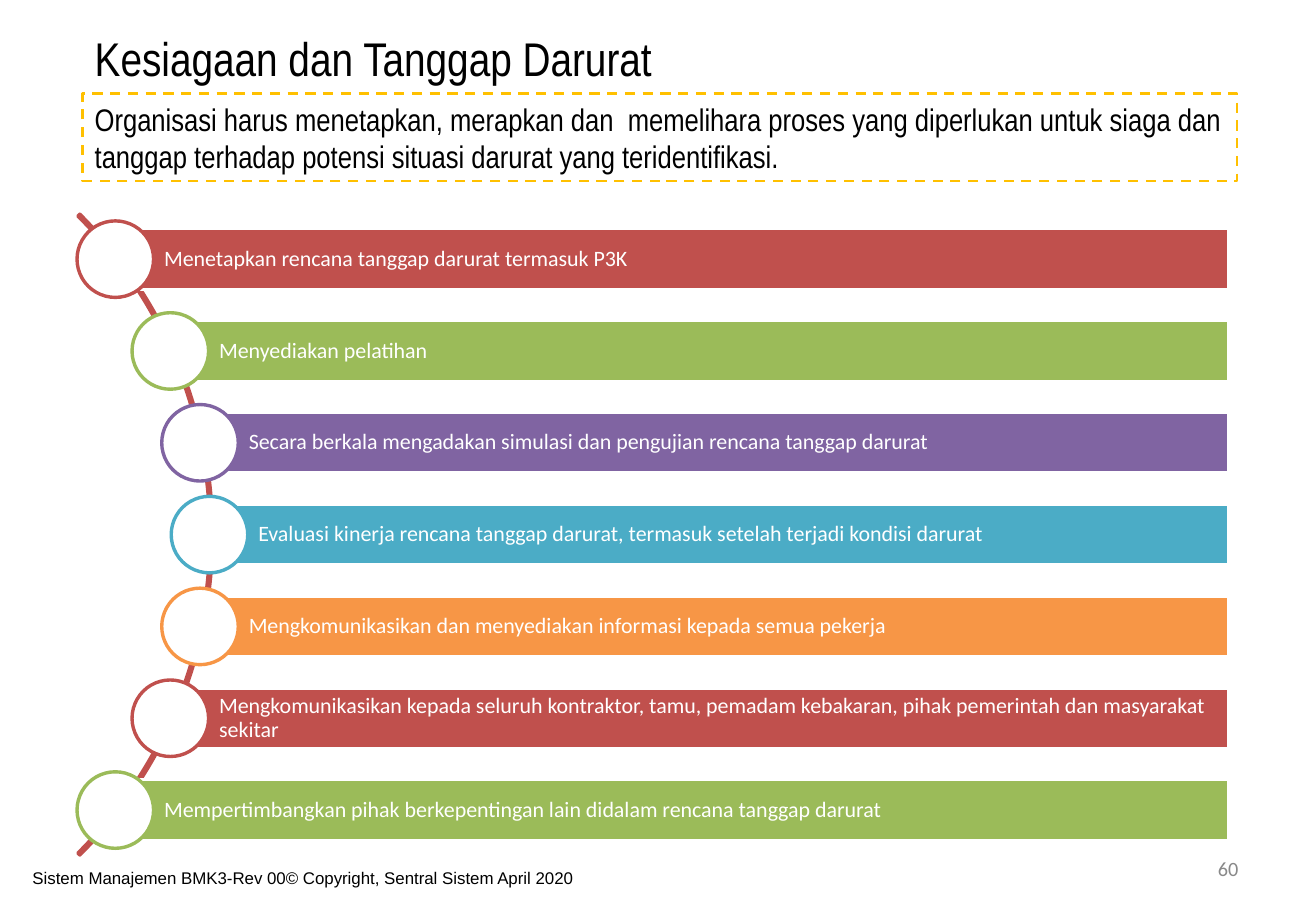
from dataclasses import dataclass
from math import sqrt

from pptx import Presentation
from pptx.dml.color import RGBColor
from pptx.enum.dml import MSO_LINE
from pptx.enum.shapes import MSO_SHAPE
from pptx.enum.text import MSO_ANCHOR, MSO_AUTO_SIZE, PP_ALIGN
from pptx.util import Cm, Pt


@dataclass(frozen=True)
class Theme:
    black: str = "000000"
    white: str = "FFFFFF"
    grey: str = "898989"
    gold: str = "FFC000"
    red: str = "C0504D"
    green: str = "9BBB59"
    purple: str = "8064A2"
    teal: str = "4BACC6"
    orange: str = "F79646"
    head: str = "Arial Narrow"
    body: str = "Calibri"
    foot: str = "Arial"
    title_size: float = 28
    lead_size: float = 18.5
    step_size: float = 13
    page_size: float = 12
    foot_size: float = 10


@dataclass(frozen=True)
class Box:
    left: float
    top: float
    width: float
    height: float

    def cm(self) -> tuple:
        return Cm(self.left), Cm(self.top), Cm(self.width), Cm(self.height)


@dataclass(frozen=True)
class Step:
    text: str
    color: str


THEME = Theme()
STEPS = [
    Step("Menetapkan rencana tanggap darurat termasuk P3K", THEME.red),
    Step("Menyediakan pelatihan", THEME.green),
    Step("Secara berkala mengadakan simulasi dan pengujian rencana tanggap darurat", THEME.purple),
    Step("Evaluasi kinerja rencana tanggap darurat, termasuk setelah terjadi kondisi darurat", THEME.teal),
    Step("Mengkomunikasikan dan menyediakan informasi kepada semua pekerja", THEME.orange),
    Step("Mengkomunikasikan kepada seluruh kontraktor, tamu, pemadam kebakaran, "
         "pihak pemerintah dan masyarakat sekitar", THEME.red),
    Step("Mempertimbangkan pihak berkepentingan lain didalam rencana tanggap darurat", THEME.green),
]

# Circle geometry in cm: the dots sit on a ring centred left of the slide
MID_X, MID_Y = -5.03, 11.18
ARC, RING = 18.95, 9.41
PITCH, BAR, DOT, EDGE = 1.92, 1.27, 1.6, 25.68


def write(shape, text: str, *, font: str, size: float, color: str,
          align=PP_ALIGN.LEFT, anchor=MSO_ANCHOR.TOP,
          inset=(0.25, 0.13, 0.25, 0.13), spacing: float = 1.0) -> None:
    frame = shape.text_frame
    frame.word_wrap = True
    frame.auto_size = MSO_AUTO_SIZE.NONE
    frame.vertical_anchor = anchor
    (frame.margin_left, frame.margin_top,
     frame.margin_right, frame.margin_bottom) = map(Cm, inset)
    frame.text = text
    para = frame.paragraphs[0]
    para.alignment = align
    para.line_spacing = spacing
    face = para.runs[0].font
    face.name, face.size = font, Pt(size)
    face.color.rgb = RGBColor.from_string(color)


def draw(slide, kind, box: Box, line: str, fill: str = "", width: float = 2):
    shape = slide.shapes.add_shape(kind, *box.cm())
    shape.shadow.inherit = False
    if fill:
        shape.fill.solid()
        shape.fill.fore_color.rgb = RGBColor.from_string(fill)
    else:
        shape.fill.background()
    shape.line.color.rgb = RGBColor.from_string(line)
    shape.line.width = Pt(width)
    return shape


def add_step(slide, index: int, step: Step) -> None:
    rise = (index - (len(STEPS) - 1) / 2) * PITCH
    x, y = MID_X + sqrt(RING ** 2 - rise ** 2), MID_Y + rise
    bar = draw(slide, MSO_SHAPE.RECTANGLE, Box(x, y - BAR / 2, EDGE - x, BAR),
               THEME.white, step.color)
    write(bar, step.text, font=THEME.body, size=THEME.step_size, color=THEME.white,
          anchor=MSO_ANCHOR.MIDDLE, inset=(1.02, 0.1, 0.1, 0.1), spacing=0.9)
    draw(slide, MSO_SHAPE.OVAL, Box(x - DOT / 2, y - DOT / 2, DOT, DOT),
         step.color, THEME.white)


def add_arc(slide) -> None:
    arc = draw(slide, MSO_SHAPE.BLOCK_ARC,
               Box(MID_X - ARC / 2, MID_Y - ARC / 2, ARC, ARC), THEME.red)
    for i, value in enumerate((189, 27, 0.003)):
        arc.adjustments[i] = value


def main() -> None:
    deck = Presentation()
    deck.slide_width, deck.slide_height = Cm(27.51), Cm(19.05)
    slide = deck.slides.add_slide(deck.slide_layouts[5])

    title = slide.shapes.title
    title.left, title.top, title.width, title.height = Box(1.73, 0.48, 20.09, 1.45).cm()
    write(title, "Kesiagaan dan Tanggap Darurat",
          font=THEME.head, size=THEME.title_size, color=THEME.black)

    lead = draw(slide, MSO_SHAPE.RECTANGLE, Box(1.73, 1.96, 24.13, 1.83),
                THEME.gold, width=1.5)
    lead.line.dash_style = MSO_LINE.DASH
    write(lead, "Organisasi harus menetapkan, merapkan dan  memelihara proses yang "
          "diperlukan untuk siaga dan tanggap terhadap potensi situasi darurat "
          "yang teridentifikasi.",
          font=THEME.head, size=THEME.lead_size, color=THEME.black)

    add_arc(slide)
    for index, step in enumerate(STEPS):
        add_step(slide, index, step)

    page = slide.shapes.add_textbox(*Box(19.71, 17.65, 6.43, 1.02).cm())
    write(page, "60", font=THEME.body, size=THEME.page_size, color=THEME.grey,
          align=PP_ALIGN.RIGHT, anchor=MSO_ANCHOR.MIDDLE)
    foot = slide.shapes.add_textbox(*Box(0.43, 18.01, 13.34, 1.02).cm())
    write(foot, "Sistem Manajemen BMK3-Rev 00© Copyright, Sentral Sistem April 2020",
          font=THEME.foot, size=THEME.foot_size, color=THEME.black)

    deck.save("out.pptx")


if __name__ == "__main__":
    main()
